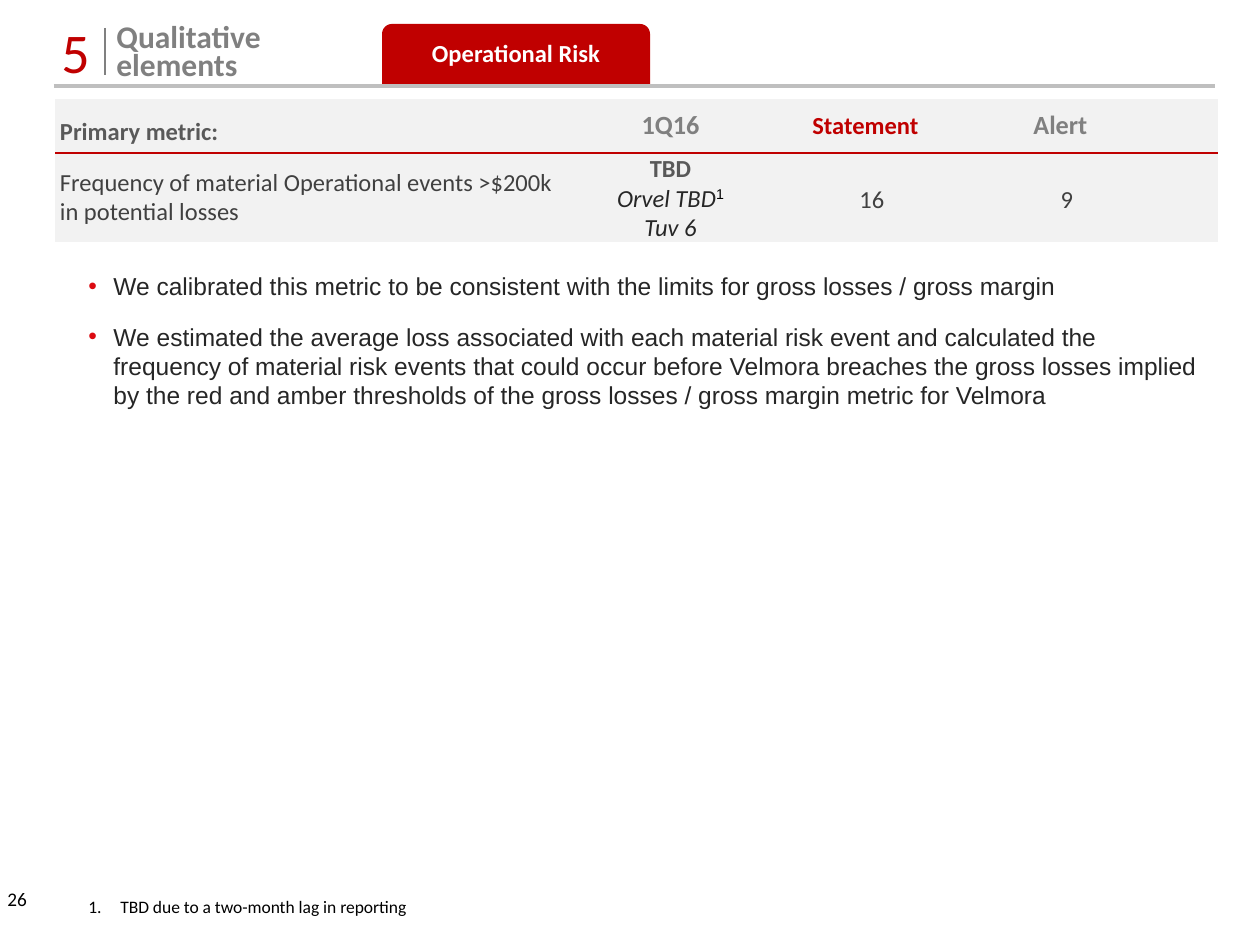
from lxml.etree import SubElement
from pptx import Presentation
from pptx.dml.color import RGBColor
from pptx.enum.shapes import MSO_CONNECTOR, MSO_SHAPE
from pptx.enum.text import MSO_ANCHOR, PP_ALIGN
from pptx.oxml.ns import qn
from pptx.util import Emu, Pt

PX = 914400 / 126
RED, GREY, DARK, INK, PALE = "C00000", "808080", "404040", "262626", "F2F2F2"
MIDDLE, CENTER, LEFT = MSO_ANCHOR.MIDDLE, PP_ALIGN.CENTER, PP_ALIGN.LEFT


def px(*lengths):
    """Turn whole pixels into a list of EMU lengths."""
    return [Emu(round(length * PX)) for length in lengths]


def write(frame, text, size, color, bold=False, font="Calibri", align=LEFT, anchor=MSO_ANCHOR.TOP):
    """Fill a text frame, one paragraph per line, in a single style."""
    frame.text = text
    frame.word_wrap = True
    frame.vertical_anchor = anchor
    for para in frame.paragraphs:
        para.alignment = align
        for span in para.runs:
            span.font.name, span.font.size, span.font.bold = font, Pt(size), bold
            span.font.color.rgb = RGBColor.from_string(color)


deck = Presentation()
deck.slide_width, deck.slide_height = px(1260, 945)
page = deck.slides.add_slide(deck.slide_layouts[6])
shapes = page.shapes

# Header
for x1, y1, x2, y2, color, width in [
    (105, 28, 105, 75, GREY, 1.5),
    (54, 86, 1215, 86, "BFBFBF", 2.25),
]:
    line = shapes.add_connector(MSO_CONNECTOR.STRAIGHT, *px(x1, y1, x2, y2))
    line.line.color.rgb = RGBColor.from_string(color)
    line.line.width = Pt(width)
    SubElement(line._element.spPr, qn("a:effectLst"))

tab = shapes.add_shape(MSO_SHAPE.ROUND_2_SAME_RECTANGLE, *px(382, 24, 268, 60))
tab.shadow.inherit = False
tab.fill.solid()
tab.fill.fore_color.rgb = RGBColor.from_string(RED)
tab.line.fill.background()
tab.text_frame.margin_left = tab.text_frame.margin_right = 0
write(tab.text_frame, "Operational Risk", 14, "FFFFFF", True, align=CENTER, anchor=MIDDLE)
tab.text_frame.paragraphs[0].line_spacing = Pt(14)

number = shapes.add_textbox(*px(49, 28, 50, 47))
write(number.text_frame, "5", 32, RED, align=CENTER, anchor=MIDDLE)

title = shapes.add_textbox(*px(104, 21, 248, 71))
write(title.text_frame, "Qualitative\nelements", 18, GREY, True)
for para in title.text_frame.paragraphs:
    para.line_spacing = Pt(16)

# Metric table
table_frame = shapes.add_table(2, 5, *px(55, 99, 1163, 143))
table = table_frame.table
for column, width in zip(table.columns, px(518, 195, 195, 195, 60)):
    column.width = width
for row, height in zip(table.rows, px(54, 89)):
    row.height = height

cell_texts = [
    [("Primary metric:", 14, "595959"), ("1Q16", 15, GREY), ("Statement", 14, RED),
     ("Alert", 15, GREY), ("", 14, GREY)],
    [("Frequency of material Operational events >$200k in potential losses", 14, DARK),
     ("TBD\nOrvel TBD\nTuv 6", 14, INK), ("16", 14, DARK), ("9", 14, DARK), ("", 14, DARK)],
]
for row_index, row_texts in enumerate(cell_texts):
    for column_index, (text, size, color) in enumerate(row_texts):
        cell = table.cell(row_index, column_index)
        is_header, is_label = row_index == 0, column_index == 0
        write(cell.text_frame, text, size, color, is_header, align=LEFT if is_label else CENTER)
        cell.vertical_anchor = MSO_ANCHOR.BOTTOM if is_header and is_label else MIDDLE
        if is_label:
            cell.margin_left, cell.margin_right = px(5, 5)
        elif not is_header:
            cell.margin_left, cell.margin_right, cell.margin_top, cell.margin_bottom = px(1, 1, 1, 0)
        properties = cell._tc.get_or_add_tcPr()
        for side in ("lnL", "lnR", "lnT", "lnB"):
            border = SubElement(properties, qn(f"a:{side}"), w="12700")
            if side == ("lnB" if is_header else "lnT"):
                paint = SubElement(border, qn("a:solidFill"))
                SubElement(paint, qn("a:srgbClr"), val=RED)
            else:
                SubElement(border, qn("a:noFill"))
        cell.fill.solid()
        cell.fill.fore_color.rgb = RGBColor.from_string(PALE)

total, bank, unit = table.cell(1, 1).text_frame.paragraphs
total.runs[0].font.bold = True
total.runs[0].font.color.rgb = RGBColor.from_string("595959")
for para in (bank, unit):
    para.runs[0].font.italic = True
mark = bank.add_run()
mark.text = "1"
mark.font.name, mark.font.size = "Arial", Pt(14)
mark.font.color.rgb = RGBColor.from_string("000000")
mark._r.get_or_add_rPr().set("baseline", "30000")

for column_index in (2, 3):
    para = table.cell(1, column_index).text_frame.paragraphs[0]
    para.line_spacing, para.space_before = Pt(19), Pt(6)
    para._p.get_or_add_pPr().set("marL", str(px(13)[0]))

# Comments
comments = [
    "We calibrated this metric to be consistent with the limits for gross losses / gross margin",
    "We estimated the average loss associated with each material risk event and calculated the "
    "frequency of material risk events that could occur before Velmora breaches the gross losses "
    "implied by the red and amber thresholds of the gross losses / gross margin metric for Velmora",
]
body = shapes.add_textbox(*px(76, 265, 1140, 564))
write(body.text_frame, "\n".join(comments), 14, INK, font="Arial")
for para in body.text_frame.paragraphs:
    para.space_before = Pt(12)
    properties = para._p.get_or_add_pPr()
    properties.set("marL", str(px(25)[0]))
    properties.set("indent", str(px(-25)[0]))
    bullet_color = SubElement(properties, qn("a:buClr"))
    SubElement(bullet_color, qn("a:srgbClr"), val="DB0B11")
    SubElement(properties, qn("a:buFont"), typeface="Arial")
    SubElement(properties, qn("a:buChar"), char="•")

# Footer
page_number = shapes.add_textbox(*px(-5, 881, 62, 50))
write(page_number.text_frame, "26", 11, "000000")

footnote = shapes.add_textbox(*px(76, 890, 416, 34))
write(footnote.text_frame, "TBD due to a two-month lag in reporting", 10, "000000")
properties = footnote.text_frame.paragraphs[0]._p.get_or_add_pPr()
properties.set("marL", str(px(32)[0]))
properties.set("indent", str(px(-32)[0]))
SubElement(properties, qn("a:buFont"), typeface="+mj-lt")
SubElement(properties, qn("a:buAutoNum"), type="arabicPeriod")

deck.save("out.pptx")
